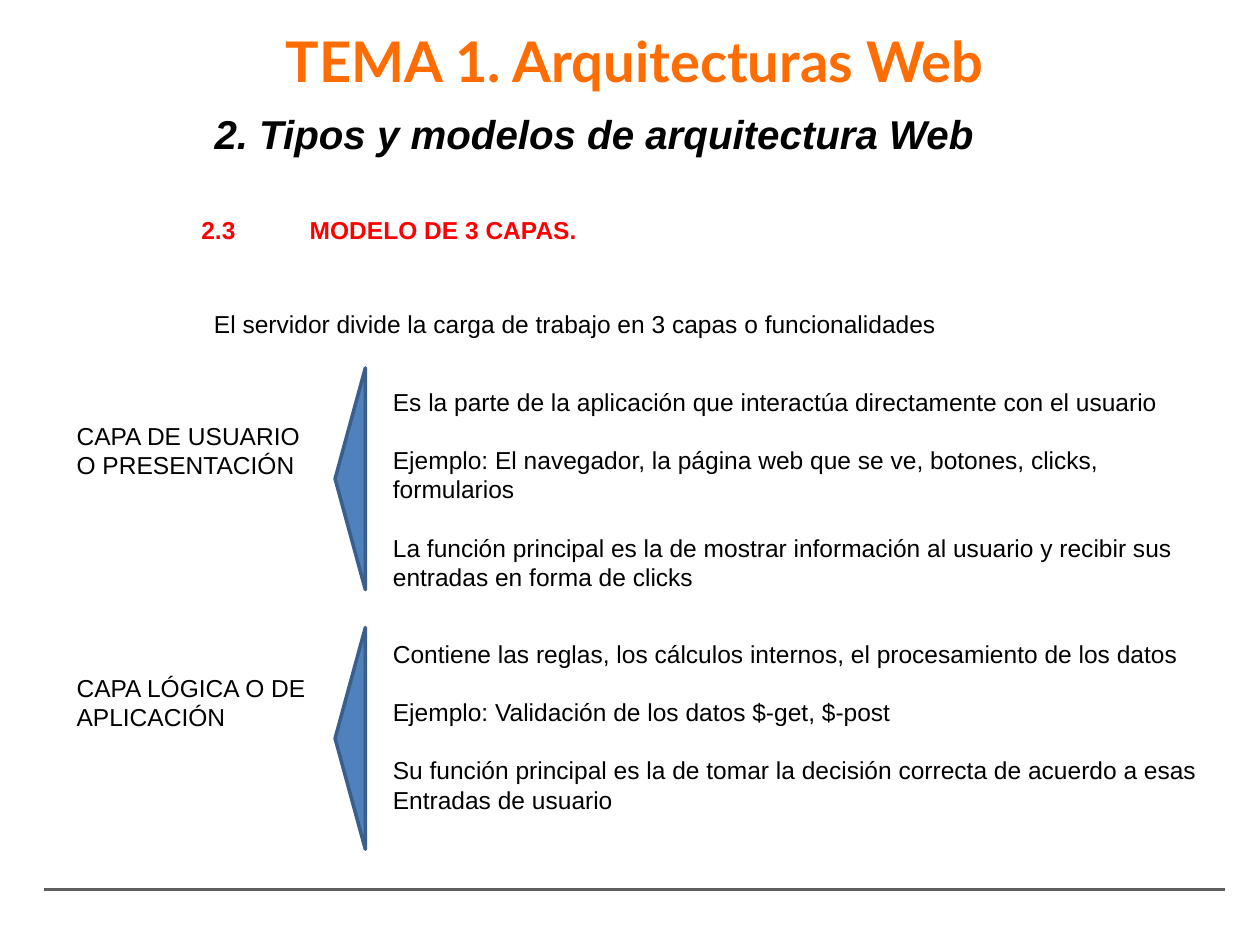
from lxml import etree
from pptx import Presentation, util as u
from pptx.dml.color import RGBColor
from pptx.enum import shapes, text
from pptx.oxml.ns import qn

# Content
TITLE = "TEMA 1. Arquitecturas Web"
SUBTITLE = "2. Tipos y modelos de arquitectura Web"
SECTION = "2.3\tMODELO DE 3 CAPAS."
INTRO = "El servidor divide la carga de trabajo en 3 capas o funcionalidades"
LAYERS = [
    {"name": "CAPA DE USUARIO\vO PRESENTACIÓN",
     "details": [
         "Es la parte de la aplicación que interactúa directamente con el usuario",
         "Ejemplo: El navegador, la página web que se ve, botones, clicks, formularios",
         "La función principal es la de mostrar información al usuario y recibir "
         "sus entradas en forma de clicks"]},
    {"name": "CAPA LÓGICA O DE\vAPLICACIÓN",
     "details": [
         "Contiene las reglas, los cálculos internos, el procesamiento de los datos",
         "Ejemplo: Validación de los datos $-get, $-post",
         "Su función principal es la de tomar la decisión correcta de acuerdo a esas"
         "\vEntradas de usuario"]},
]

# Theme
THEME = {
    "title": {"name": "Lato", "size": u.Pt(32), "bold": True, "color": "FF6C00"},
    "subtitle": {"name": "Arial", "size": u.Pt(23), "bold": True, "italic": True,
                 "color": "000000"},
    "section": {"name": "Arial", "size": u.Pt(14), "bold": True, "color": "FF0000"},
    "body": {"name": "Arial", "size": u.Pt(14), "color": "000000"},
    "triangle": {"fill": "4F81BD", "line": "3A5F8C"},
    "rule": "5E5E5E",
    "line_width": u.Pt(2),
    "gap": u.Pt(16.5),
}

# Layout in inches: left, top, width, height
TITLE_BOX = (1.2, 0.34, 7.68, 0.44)
SUBTITLE_BOX = (0.11, 0.82, 9.22, 0.5)
SECTION_BOX = (1.5, 1.66, 3.33, 0.34)
SECTION_TAB = 0.86
INTRO_BOX = (1.6, 2.4, 5.96, 0.34)
LAYER_TOP, LAYER_PITCH = 3.02, 2.0
NAME_LEFT, NAME_DROP, NAME_SIZE = 0.51, 0.27, (2.27, 0.57)
DETAIL_LEFT, DETAIL_SIZE = 3.02, (6.8, 1.51)
TRIANGLE_CENTER, TRIANGLE_TOP, TRIANGLE_PITCH = 2.78, 2.92, 2.06
TRIANGLE_SIZE = (1.76, 0.24)
RULE = (0.35, 7.06, 9.72, 7.06)


def inches(values):
    return [u.Inches(value) for value in values]


def place(shape, box):
    for name, value in zip(("left", "top", "width", "height"), inches(box)):
        setattr(shape, name, value)


def style(font, role):
    for name, value in THEME[role].items():
        if name == "color":
            font.color.rgb = RGBColor.from_string(value)
        else:
            setattr(font, name, value)


def write(shape, lines, role, align=text.PP_ALIGN.LEFT, wrap=True):
    frame = shape.text_frame
    frame.word_wrap = wrap
    frame.text = "\n".join(lines)
    for index, paragraph in enumerate(frame.paragraphs):
        paragraph.alignment = align
        if index:
            paragraph.space_before = THEME["gap"]
        for run in paragraph.runs:
            style(run.font, role)
    return frame


def add_text(slide, box, lines, role, **options):
    return write(slide.shapes.add_textbox(*inches(box)), lines, role, **options)


def add_triangle(slide, row):
    width, height = TRIANGLE_SIZE
    center = TRIANGLE_TOP + row * TRIANGLE_PITCH + width / 2
    box = (TRIANGLE_CENTER - width / 2, center - height / 2, width, height)
    triangle = slide.shapes.add_shape(
        shapes.MSO_SHAPE.ISOSCELES_TRIANGLE, *inches(box))
    triangle.rotation = 270
    triangle.shadow.inherit = False
    triangle.fill.solid()
    triangle.fill.fore_color.rgb = RGBColor.from_string(THEME["triangle"]["fill"])
    triangle.line.color.rgb = RGBColor.from_string(THEME["triangle"]["line"])
    triangle.line.width = THEME["line_width"]


def main():
    presentation = Presentation()
    presentation.slide_width, presentation.slide_height = inches((10, 7.5))
    slide = presentation.slides.add_slide(presentation.slide_layouts[5])

    # Headings
    title = slide.shapes.title
    place(title, TITLE_BOX)
    frame = write(title, [TITLE], "title", text.PP_ALIGN.CENTER)
    frame.vertical_anchor = text.MSO_ANCHOR.MIDDLE
    frame.auto_size = text.MSO_AUTO_SIZE.NONE
    for side in ("left", "top", "right", "bottom"):
        setattr(frame, f"margin_{side}", u.Inches(0.06))
    frame.paragraphs[0].line_spacing = 0.6
    add_text(slide, SUBTITLE_BOX, [SUBTITLE], "subtitle", align=text.PP_ALIGN.CENTER)

    # Section number and name, split by a tab stop
    frame = add_text(slide, SECTION_BOX, [SECTION], "section")
    properties = frame.paragraphs[0]._p.get_or_add_pPr()
    tabs = etree.SubElement(properties, qn("a:tabLst"))
    etree.SubElement(tabs, qn("a:tab"), pos=str(u.Inches(SECTION_TAB)), algn="l")
    add_text(slide, INTRO_BOX, [INTRO], "body", wrap=False)

    # One row per layer
    for row, layer in enumerate(LAYERS):
        top = LAYER_TOP + row * LAYER_PITCH
        add_text(slide, (NAME_LEFT, top + NAME_DROP, *NAME_SIZE),
                 [layer["name"]], "body")
        add_triangle(slide, row)
        add_text(slide, (DETAIL_LEFT, top, *DETAIL_SIZE), layer["details"], "body")

    # Bottom rule
    rule = slide.shapes.add_connector(shapes.MSO_CONNECTOR.STRAIGHT, *inches(RULE))
    rule.line.color.rgb = RGBColor.from_string(THEME["rule"])
    rule.line.width = THEME["line_width"]
    etree.SubElement(rule._element.spPr, qn("a:effectLst"))

    presentation.save("out.pptx")


if __name__ == "__main__":
    main()
